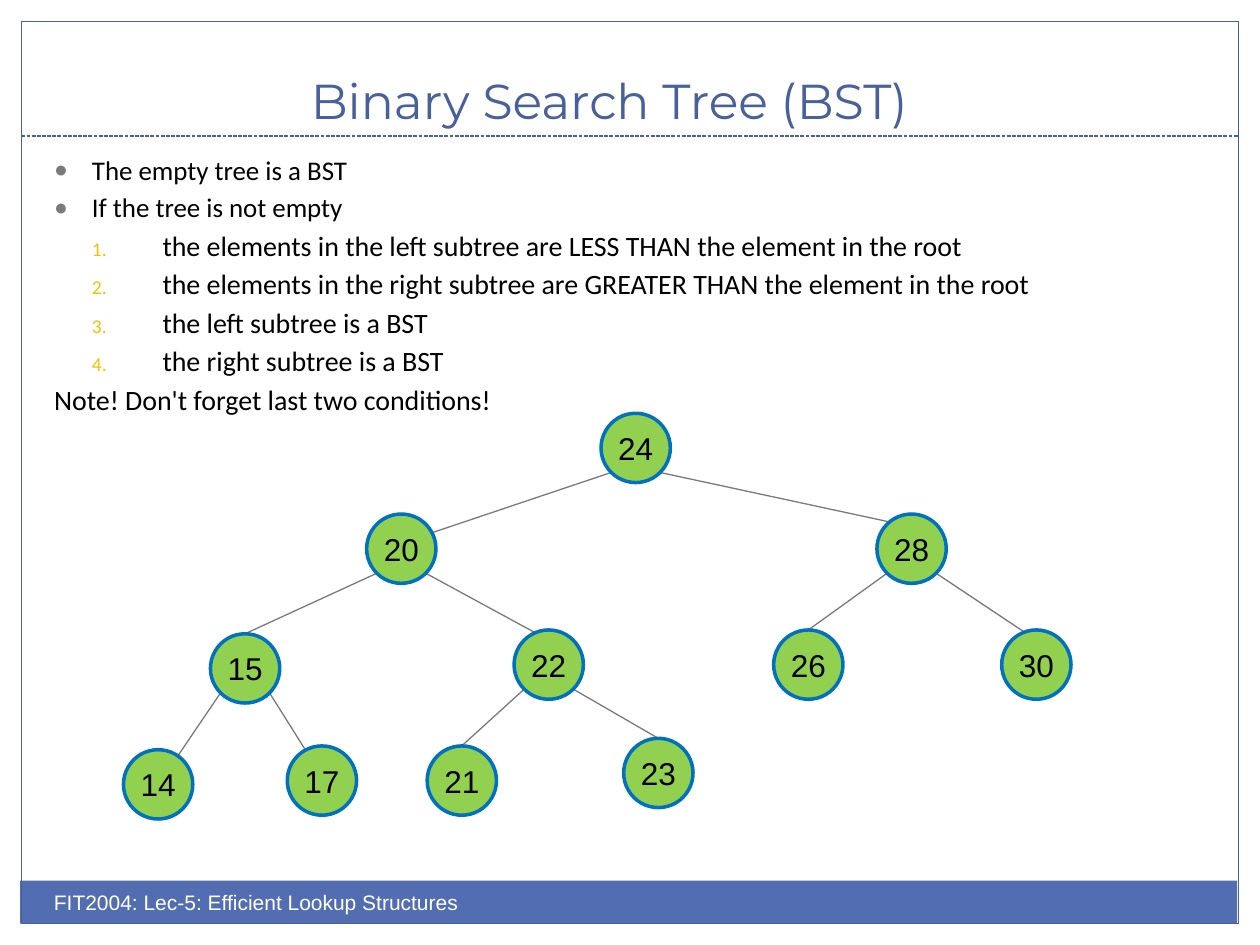
import pptx
import pptx.dml.color
import pptx.enum.dml
import pptx.enum.shapes
import pptx.enum.text
import pptx.oxml
import pptx.oxml.ns
import pptx.util
from lxml import etree

WIDTH, HEIGHT = 10, 7.5
COLUMNS, ROWS = 10, 7.5  # square cells, one inch each
NODE = 0.55
BLUE, GRAY, BLACK = "48609B", "7A7A7A", "000000"

# value: column, row, parent, depth of the edge's end below the node's top
TREE = {
    24: (4.77, 3.28, None, 0),
    20: (2.91, 4.08, 24, 0.23),
    28: (6.96, 4.08, 24, 0.1),
    15: (1.67, 5.03, 20, 0),
    22: (4.08, 5, 20, 0.08),
    26: (6.14, 5, 28, 0),
    30: (7.95, 5, 28, 0.08),
    14: (0.98, 5.95, 15, 0.28),
    17: (2.28, 5.92, 15, 0.24),
    21: (3.39, 5.92, 22, 0),
    23: (4.95, 5.86, 22, 0),
}

ITEM = {"level": 0, "size": 15.4, "margin": 0.3, "indent": -0.3,
        "color": GRAY, "percent": 85, "mark": ("buChar", {"char": "●"})}
CONDITION = {"level": 1, "size": 16, "margin": 0.86, "indent": -0.56,
             "color": "F5C201", "percent": 70,
             "mark": ("buAutoNum", {"type": "arabicPeriod"})}
NOTE = {"level": 0, "size": 16, "margin": 0, "indent": 0, "mark": ("buNone", {})}
BODY = [
    ("The empty tree is a BST", ITEM),
    ("If the tree is not empty", ITEM),
    ("the elements in the left subtree are LESS THAN the element in the root", CONDITION),
    ("the elements in the right subtree are GREATER THAN the element in the root", CONDITION),
    ("the left subtree is a BST", CONDITION),
    ("the right subtree is a BST", CONDITION),
    ("Note! Don't forget last two conditions!", NOTE),
]


def rgb(value):
    return pptx.dml.color.RGBColor.from_string(value)


def grid(*cells):
    """Turn alternating columns and rows into lengths."""
    units = (WIDTH / COLUMNS, HEIGHT / ROWS)
    return [pptx.util.Inches(c * units[i % 2]) for i, c in enumerate(cells)]


def set_all(target, **values):
    for name, value in values.items():
        setattr(target, name, value)


def add_run(p, text, font, size, color):
    r = p.add_run()
    r.text = text
    set_all(r.font, name=font, size=pptx.util.Pt(size))
    r.font.color.rgb = rgb(color)


def add_shape(slide, kind, cells, fill=None, line=None, weight=0.75):
    sp = slide.shapes.add_shape(kind, *grid(*cells))
    sp.shadow.inherit = False
    if fill:
        sp.fill.solid()
        sp.fill.fore_color.rgb = rgb(fill)
    else:
        sp.fill.background()
    if line:
        sp.line.color.rgb = rgb(line)
        sp.line.width = pptx.util.Pt(weight)
    else:
        sp.line.fill.background()
    return sp


def add_line(slide, start, end, color, dash=None):
    line = slide.shapes.add_connector(
        pptx.enum.shapes.MSO_CONNECTOR.STRAIGHT, *grid(*start, *end))
    line.line.color.rgb = rgb(color)
    set_all(line.line, width=pptx.util.Pt(0.75), dash_style=dash)
    etree.SubElement(line._element.spPr, pptx.oxml.ns.qn("a:effectLst"))


def place(sp, cells, anchor):
    left, top, width, height = grid(*cells)
    set_all(sp, left=left, top=top, width=width, height=height)
    set_all(sp.text_frame, vertical_anchor=anchor, word_wrap=True,
            auto_size=pptx.enum.text.MSO_AUTO_SIZE.NONE)
    return sp.text_frame


def set_bullet(p, style):
    pPr = p._p.get_or_add_pPr()
    pPr.set("marL", str(pptx.util.Inches(style["margin"])))
    pPr.set("indent", str(pptx.util.Inches(style["indent"])))
    qn = pptx.oxml.ns.qn
    if "color" in style:
        color = etree.SubElement(pPr, qn("a:buClr"))
        etree.SubElement(color, qn("a:srgbClr"), val=style["color"])
        etree.SubElement(pPr, qn("a:buSzPct"), val=str(style["percent"] * 1000))
    tag, attributes = style["mark"]
    etree.SubElement(pPr, qn("a:" + tag), attributes)


def add_frame(slide):
    rect = pptx.enum.shapes.MSO_SHAPE.RECTANGLE
    add_shape(slide, rect, (0.16, 6.99, 9.66, 0.34), fill="526DB0")
    add_shape(slide, rect, (0.17, 0.17, 9.66, 7.16), line=BLUE)
    # SQUARE_DOT is the preset sysDot; SYS_DASH has its own member name
    add_line(slide, (0.17, 1.08), (9.83, 1.08), BLUE,
             pptx.enum.dml.MSO_LINE.SQUARE_DOT)
    footer = slide.shapes.add_textbox(*grid(0.33, 7.01, 5, 0.4))
    footer.text_frame.word_wrap = True
    add_run(footer.text_frame.paragraphs[0],
            "FIT2004: Lec-5: Efficient Lookup Structures", "Arial", 12, "FFFFFF")


def fill_title(slide):
    tf = place(slide.shapes.title, (-0.08, 0.25, 9.83, 0.83),
               pptx.enum.text.MSO_ANCHOR.BOTTOM)
    p = tf.paragraphs[0]
    p.alignment = pptx.enum.text.PP_ALIGN.CENTER
    add_run(p, "Binary Search Tree (BST)", "Montserrat", 28, BLUE)


def fill_body(slide):
    tf = place(slide.placeholders[1], (0.33, 1.17, 9.5, 2.33),
               pptx.enum.text.MSO_ANCHOR.TOP)
    for i, (text, style) in enumerate(BODY):
        p = tf.add_paragraph() if i else tf.paragraphs[0]
        set_all(p, level=style["level"],
                space_before=pptx.util.Pt(2.8 if i else 0))
        set_bullet(p, style)
        add_run(p, text, "Calibri", style["size"], BLACK)


def add_edge(slide, value):
    """Join a node to the lower left or lower right of its parent."""
    x, y, parent, depth = TREE[value]
    px, py = TREE[parent][:2]
    near, far = 0.08, NODE - 0.08
    start = (px + (near if value < parent else far), py + far)
    add_line(slide, start, (x + NODE / 2, y + depth), GRAY)


def add_node(slide, value):
    x, y = TREE[value][:2]
    sp = add_shape(slide, pptx.enum.shapes.MSO_SHAPE.OVAL, (x, y, NODE, NODE),
                   fill="92D050", line="0070C0", weight=2)
    tf = sp.text_frame
    set_all(tf, margin_left=0, margin_right=0, margin_top=0, margin_bottom=0,
            word_wrap=False, vertical_anchor=pptx.enum.text.MSO_ANCHOR.MIDDLE)
    p = tf.paragraphs[0]
    p.alignment = pptx.enum.text.PP_ALIGN.CENTER
    add_run(p, str(value), "Arial", 18, BLACK)


def main():
    prs = pptx.Presentation()
    set_all(prs, slide_width=pptx.util.Inches(WIDTH),
            slide_height=pptx.util.Inches(HEIGHT))
    slide = prs.slides.add_slide(prs.slide_layouts[1])
    add_frame(slide)
    fill_title(slide)
    fill_body(slide)
    for value in TREE:
        if TREE[value][2]:
            add_edge(slide, value)
    for value in TREE:
        add_node(slide, value)
    prs.save("out.pptx")


if __name__ == "__main__":
    main()
